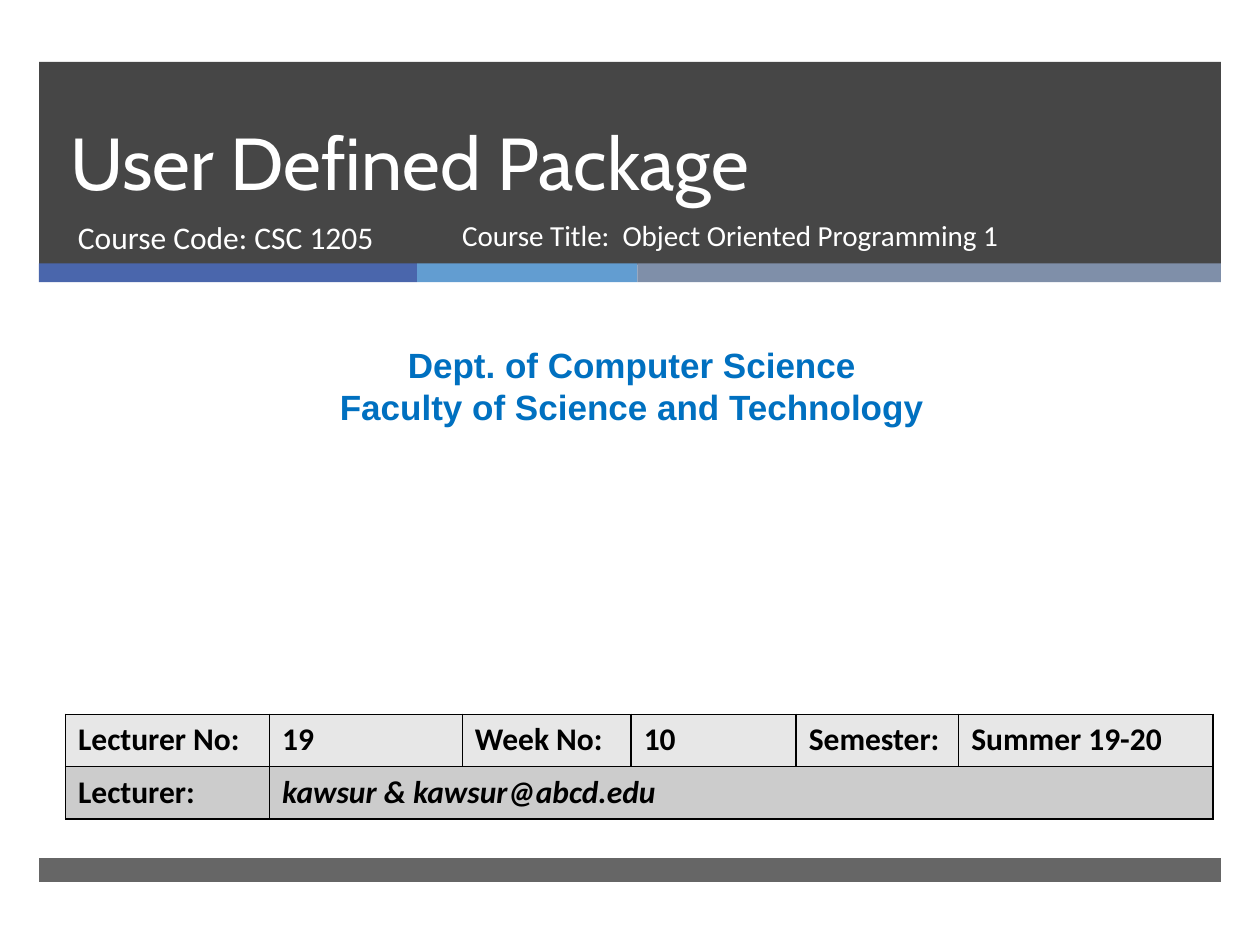
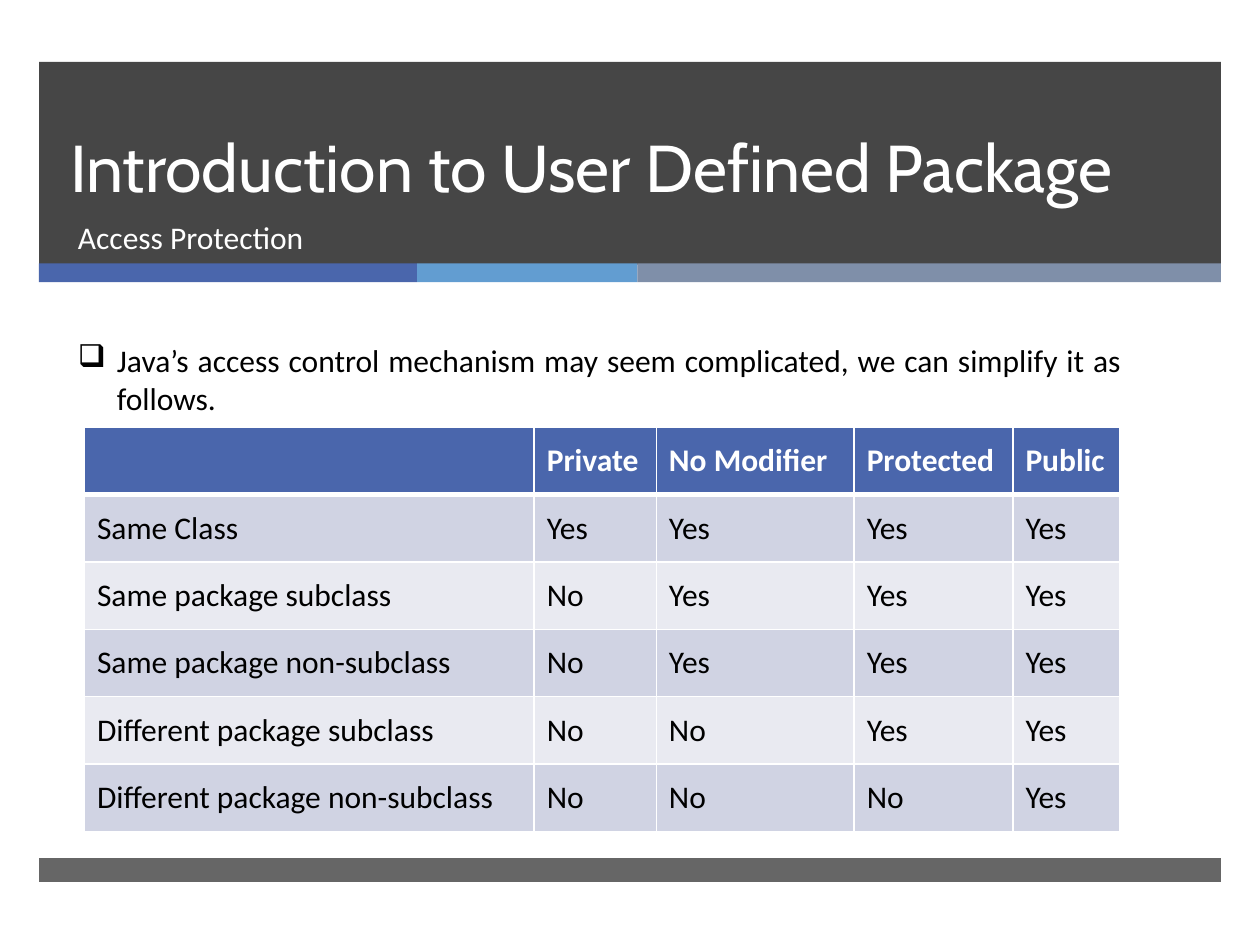
from lxml.etree import SubElement
from pptx import Presentation
from pptx.dml.color import RGBColor
from pptx.enum.shapes import MSO_SHAPE
from pptx.enum.text import MSO_ANCHOR, PP_ALIGN
from pptx.oxml.ns import qn
from pptx.util import Inches, Pt

WHITE = RGBColor(0xFF, 0xFF, 0xFF)
BLACK = RGBColor(0x00, 0x00, 0x00)
CHARCOAL = RGBColor(0x26, 0x26, 0x26)
INDIGO = RGBColor(0x4A, 0x66, 0xAC)
SKY = RGBColor(0x62, 0x9D, 0xD1)
SLATE = RGBColor(0x7F, 0x8F, 0xA9)
DEPARTMENT_BLUE = RGBColor(0x00, 0x70, 0xC0)
LIGHT_GREY = RGBColor(0xE7, 0xE7, 0xE7)
MID_GREY = RGBColor(0xCC, 0xCC, 0xCC)
LAVENDER = RGBColor(0xD0, 0xD3, 0xE3)
PALE_LAVENDER = RGBColor(0xE9, 0xEA, 0xF1)

FRAME = (0.31, 0.49, 9.38, 6.51)
STRIPES = [(3, INDIGO), (1.75, SKY), (4.63, SLATE)]
HEADING = {"name": "Cabin", "size": Pt(42), "color": WHITE}
LONG_HEADING = {**HEADING, "size": Pt(37.8)}
SUBHEADING = {"name": "Calibri", "size": Pt(18), "color": WHITE}
COURSE_TITLE = {**SUBHEADING, "size": Pt(16.6)}
DEPARTMENT = {"name": "Arial", "size": Pt(20), "color": DEPARTMENT_BLUE, "bold": True}
BODY = {"name": "Calibri", "size": Pt(18), "color": BLACK}
LABEL = {**BODY, "bold": True}
LECTURER = {**BODY, "italic": True}
COLUMN_HEAD = {**LABEL, "color": WHITE}


def apply_font(font, style):
    """Set every font attribute in the style."""
    for attribute, value in style.items():
        if attribute == "color":
            font.color.rgb = value
        else:
            setattr(font, attribute, value)


def add_bar(slide, box, color, opacity=100):
    """Draw a flat rectangle, translucent when opacity is below 100."""
    bar = slide.shapes.add_shape(MSO_SHAPE.RECTANGLE, *map(Inches, box))
    bar.shadow.inherit = False
    bar.fill.solid()
    bar.fill.fore_color.rgb = color
    bar.line.fill.background()
    if opacity < 100:
        tint = bar._element.spPr.find(".//" + qn("a:srgbClr"))
        SubElement(tint, qn("a:alpha"), val=str(opacity * 1000))


def add_text(slide, box, lines, style, align=PP_ALIGN.LEFT, anchor=MSO_ANCHOR.TOP):
    """Place lines of text in a wrapping box and return its frame."""
    frame = slide.shapes.add_textbox(*map(Inches, box)).text_frame
    frame.word_wrap = True
    frame.vertical_anchor = anchor
    frame.text = "\n".join(lines)
    for paragraph in frame.paragraphs:
        paragraph.alignment = align
        for run in paragraph.runs:
            apply_font(run.font, style)
    return frame


def add_page(deck, box, title, title_style, subtitles):
    """Add a slide with title band, stripes, footer bar, title and subtitles."""
    slide = deck.slides.add_slide(deck.slide_layouts[6])
    left, top, width, height = box
    add_bar(slide, (left, top, width, 1.61), CHARCOAL, 85)
    stripe_left = left
    for stripe_width, color in STRIPES:
        add_bar(slide, (stripe_left, top + 1.6, stripe_width, 0.15), color)
        stripe_left += stripe_width
    add_bar(slide, (left, top + height - 0.19, width, 0.19), CHARCOAL, 70)
    heading = add_text(slide, (left + 0.15, top, 8.54, 1.19), [title], title_style,
                       anchor=MSO_ANCHOR.BOTTOM)
    heading.paragraphs[0].line_spacing = Pt(46)
    subtitle_left = left + 0.21
    for text, subtitle_width, style in subtitles:
        add_text(slide, (subtitle_left, top + 1.19, subtitle_width, 0.53), [text], style)
        subtitle_left += subtitle_width
    return slide


def add_bullet(slide, box, text):
    """Place one justified point with a box bullet and hanging indent."""
    frame = add_text(slide, box, [text], BODY, PP_ALIGN.JUSTIFY)
    properties = frame.paragraphs[0]._p.get_or_add_pPr()
    properties.set("marL", str(Inches(0.31)))
    properties.set("indent", str(-Inches(0.31)))
    SubElement(properties, qn("a:buChar"), char="❑")


def set_border(cell, side, color, points):
    """Give one side of a cell a solid line."""
    line = SubElement(cell._tc.get_or_add_tcPr(), qn("a:ln" + side), w=str(Pt(points)))
    SubElement(SubElement(line, qn("a:solidFill")), qn("a:srgbClr"), val=str(color))


def add_grid(slide, box, column_widths, rows, border_color):
    """Add an unstyled table sized to the box, with thin borders."""
    table = slide.shapes.add_table(len(rows), len(column_widths), *map(Inches, box)).table
    table.first_row = table.horz_banding = False
    for column, width in zip(table.columns, column_widths):
        column.width = Inches(width)
    for row in table.rows:
        row.height = Inches(box[3] / len(rows))
    for row_number, texts in enumerate(rows):
        for column_number, text in enumerate(texts):
            cell = table.cell(row_number, column_number)
            cell.text = text
            for side in "LRTB":
                set_border(cell, side, border_color, 1)
    return table


def style_cell(cell, fill, style, anchor):
    """Colour a cell and format its text."""
    cell.fill.solid()
    cell.fill.fore_color.rgb = fill
    cell.vertical_anchor = anchor
    apply_font(cell.text_frame.paragraphs[0].font, style)
    for run in cell.text_frame.paragraphs[0].runs:
        apply_font(run.font, style)


def add_lecture_details(slide, box):
    """Place the table of lecture number, week, semester and lecturer."""
    rows = [
        ["Lecturer No:", "19", "Week No:", "10", "Semester:", "Summer 19-20"],
        ["Lecturer:", "kawsur & kawsur@abcd.edu", "", "", "", ""],
    ]
    table = add_grid(slide, box, [1.62, 1.53, 1.34, 1.31, 1.29, 2.02], rows, BLACK)
    for row, fill in zip(table.rows, [LIGHT_GREY, MID_GREY]):
        for cell in row.cells:
            style_cell(cell, fill, LABEL, MSO_ANCHOR.TOP)
    style_cell(table.cell(1, 1), MID_GREY, LECTURER, MSO_ANCHOR.TOP)
    table.cell(1, 1).merge(table.cell(1, 5))


def add_access_table(slide, box):
    """Place the table of which scope each access modifier reaches."""
    rows = [
        ["", "Private", "No Modifier", "Protected", "Public"],
        ["Same Class", "Yes", "Yes", "Yes", "Yes"],
        ["Same package subclass", "No", "Yes", "Yes", "Yes"],
        ["Same package non-subclass", "No", "Yes", "Yes", "Yes"],
        ["Different package subclass", "No", "No", "Yes", "Yes"],
        ["Different package non-subclass", "No", "No", "No", "Yes"],
    ]
    table = add_grid(slide, box, [3.57, 0.97, 1.57, 1.26, 0.85], rows, WHITE)
    for row_number, row in enumerate(table.rows):
        band = LAVENDER if row_number % 2 else PALE_LAVENDER
        fill, style = (band, BODY) if row_number else (INDIGO, COLUMN_HEAD)
        for cell in row.cells:
            style_cell(cell, fill, style, MSO_ANCHOR.MIDDLE)
    for head, first in zip(table.rows[0].cells, table.rows[1].cells):
        head._tc.tcPr.find(qn("a:lnB")).set("w", str(Pt(3)))
        first._tc.tcPr.find(qn("a:lnT")).set("w", str(Pt(3)))


def build_cover(deck):
    """Build the course cover slide."""
    subtitles = [
        ("Course Code: CSC 1205", 3.05, SUBHEADING),
        ("Course Title:  Object Oriented Programming 1", 4.61, COURSE_TITLE),
    ]
    slide = add_page(deck, FRAME, "User Defined Package", HEADING, subtitles)
    department = ["Dept. of Computer Science", "Faculty of Science and Technology"]
    add_text(slide, (0.08, 2.68, 9.87, 0.77), department, DEPARTMENT, PP_ALIGN.CENTER)
    add_lecture_details(slide, (0.52, 5.67, 9.12, 0.83))


def build_access_protection(deck):
    """Build the slide on access protection."""
    slide = add_page(deck, FRAME, "Introduction to User Defined Package", LONG_HEADING,
                     [("Access Protection", 8.48, SUBHEADING)])
    add_bullet(slide, (0.52, 2.66, 8.48, 1.01),
               "Java’s access control mechanism may seem complicated, "
               "we can simplify it as follows.")
    add_access_table(slide, (0.67, 3.39, 8.22, 3.21))


deck = Presentation()
deck.slide_width, deck.slide_height = Inches(10), Inches(7.5)
build_cover(deck)
build_access_protection(deck)
deck.save("out.pptx")
